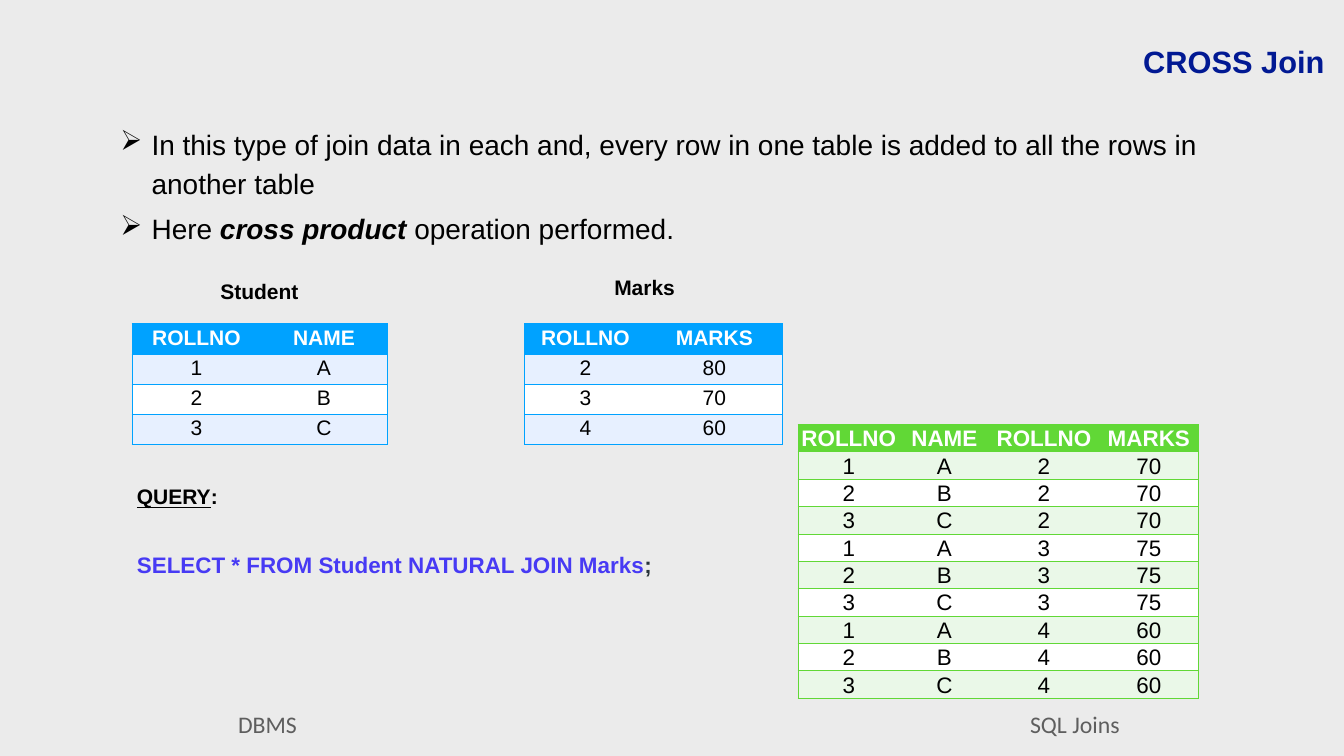
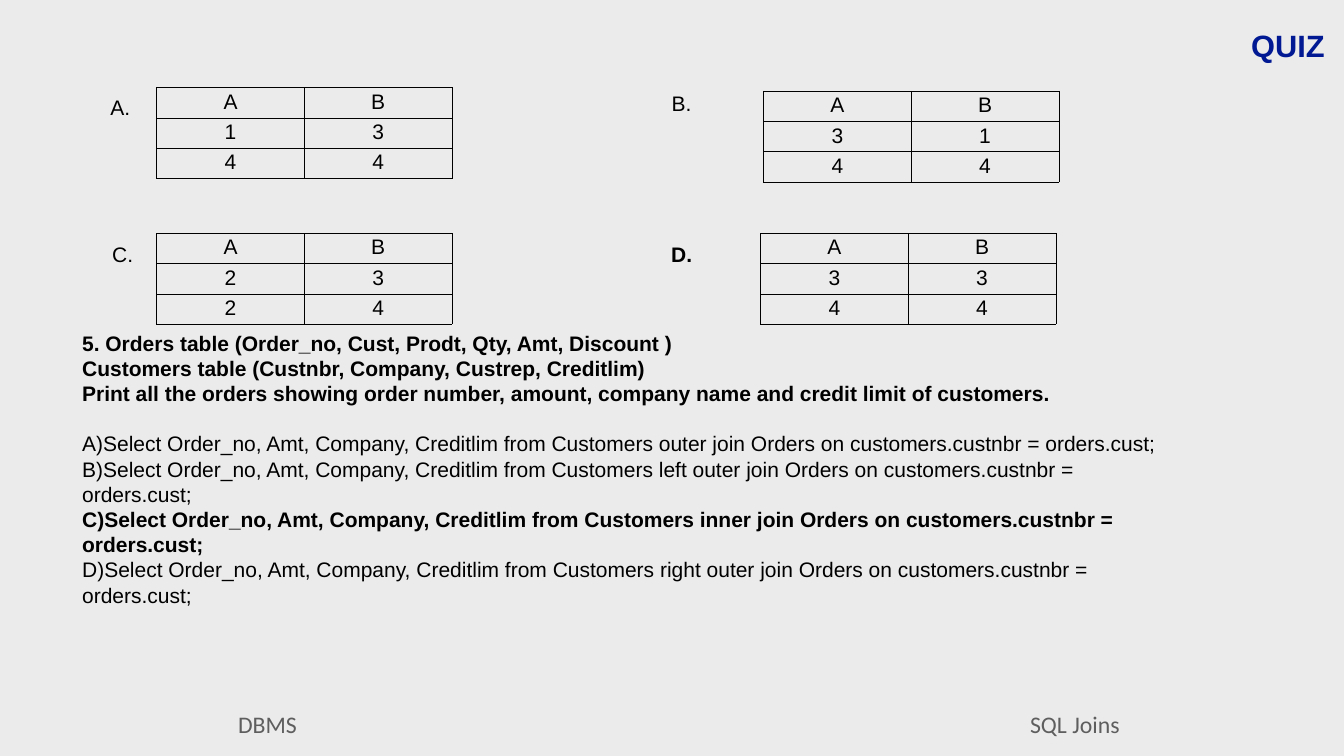
from lxml import etree
from pptx import Presentation
from pptx.dml.color import RGBColor
from pptx.enum.shapes import MSO_SHAPE
from pptx.enum.text import MSO_ANCHOR, PP_ALIGN
from pptx.oxml.ns import qn
from pptx.util import Cm, Pt

LEFT, CENTER, RIGHT = PP_ALIGN.LEFT, PP_ALIGN.CENTER, PP_ALIGN.RIGHT
TOP, MIDDLE, BOTTOM = MSO_ANCHOR.TOP, MSO_ANCHOR.MIDDLE, MSO_ANCHOR.BOTTOM
RECTANGLE = MSO_SHAPE.RECTANGLE

COLORS = {
    "page": "EBEBEB", "title": "011993", "footer": "5E5E5E",
    "black": "000000", "white": "FFFFFF",
    "blue": "00A2FF", "pale blue": "E7F0FF",
    "green": "61D836", "pale green": "EAF8E8",
    "query": "473AF4", "semicolon": "273239",
}
BLUE_TABLE = {"line": "blue", "header": "blue", "bands": ("pale blue", "white")}
GREEN_TABLE = {"line": "green", "header": "green", "bands": ("pale green", "white")}
GRID_TABLE = {"line": "black", "header": None, "bands": (None,)}


def rgb(name):
    return RGBColor.from_string(COLORS[name])


class Deck:
    """Holds the shared style and the slide being filled."""

    def __init__(self):
        self.deck = Presentation()
        self.deck.slide_width, self.deck.slide_height = Cm(67.73), Cm(38.1)
        self.page = None

    def new_page(self, title, title_top):
        self.page = self.deck.slides.add_slide(self.deck.slide_layouts[6])
        self.page.background.fill.solid()
        self.page.background.fill.fore_color.rgb = rgb("page")
        self.label(title, 24.7, title_top, 42.21, 2.16, size=44, color="title",
                   bold=True, align=RIGHT)
        self.footer("DBMS", 1.07)
        self.footer("SQL Joins", 41.76)

    def style(self, font, size, color="black", bold=False, name="Arial"):
        font.name, font.size, font.bold = name, Pt(size), bold
        font.color.rgb = rgb(color)

    def frame(self, left, top, width, height, anchor=TOP):
        box = self.page.shapes.add_textbox(Cm(left), Cm(top), Cm(width), Cm(height))
        box.text_frame.word_wrap = True
        box.text_frame.vertical_anchor = anchor
        return box.text_frame

    def inset(self, target, sides, ends):
        target.margin_left = target.margin_right = Cm(sides)
        target.margin_top = target.margin_bottom = Cm(ends)

    def paragraph(self, frame, text, first, size=30, align=LEFT, **look):
        para = frame.paragraphs[0] if first else frame.add_paragraph()
        para.text, para.alignment = text, align
        self.style(para.font, size, **look)
        return para

    def label(self, text, left, top, width, height, **look):
        frame = self.frame(left, top, width, height, MIDDLE)
        self.inset(frame, 0.15, 0.15)
        self.paragraph(frame, text, True, **{"align": CENTER, **look})

    def footer(self, text, left):
        band = self.page.shapes.add_shape(RECTANGLE, Cm(left), Cm(35.48), Cm(24.82), Cm(1.98))
        band.shadow.inherit = False
        band.fill.solid()
        band.fill.fore_color.rgb = rgb("page")
        band.line.fill.background()
        band.text_frame.vertical_anchor = MIDDLE
        self.inset(band.text_frame, 0, 0)
        self.paragraph(band.text_frame, text, True, size=34, align=CENTER,
                       color="footer", name="Calibri")

    def bullets(self, items, left, top, width, height):
        """Each item is a list of (text, emphasised) spans."""
        frame = self.frame(left, top, width, height)
        for index, spans in enumerate(items):
            para = self.paragraph(frame, "", index == 0, size=40)
            para.line_spacing, para.space_after = 1.15, Pt(10)
            for text, emphasised in spans:
                span = para.add_run()
                span.text = text
                self.style(span.font, 40, bold=emphasised)
                span.font.italic = emphasised
            props = para._p.get_or_add_pPr()
            props.set("marL", str(Cm(1.57)))
            props.set("indent", str(-Cm(1.57)))
            bullet = etree.Element(qn("a:buChar"), char="➢")
            props.find(qn("a:defRPr")).addprevious(bullet)

    def query(self, heading, statement, left, top, width, height):
        frame = self.frame(left, top, width, height)
        lines = (
            [(heading, 30, "black", True), (":", 30, "black", False)],
            [(statement, 32, "query", False), (";", 32, "semicolon", False)],
        )
        for index, spans in enumerate(lines):
            para = frame.paragraphs[0] if index == 0 else frame.add_paragraph()
            para.space_before = Pt(60 * index)
            for text, size, color, underlined in spans:
                span = para.add_run()
                span.text = text
                self.style(span.font, size, color, bold=True)
                span.font.underline = underlined

    def border(self, cell, sides, color):
        """Draw the named sides in the colour and leave the others open."""
        props = cell._tc.get_or_add_tcPr()
        for index, side in enumerate("LRTB"):
            line = etree.Element(qn(f"a:ln{side}"), w=str(Pt(1)))
            if side in sides:
                fill = etree.SubElement(line, qn("a:solidFill"))
                etree.SubElement(fill, qn("a:srgbClr"), val=COLORS[color])
            else:
                etree.SubElement(line, qn("a:noFill"))
            props.insert(index, line)

    def table(self, rows, left, top, widths, row_height, look, size=30, tight=False):
        shape = self.page.shapes.add_table(
            len(rows), len(widths), Cm(left), Cm(top),
            Cm(sum(widths)), Cm(row_height * len(rows)))
        table = shape.table
        table.first_row = table.horz_banding = False
        for column, width in zip(table.columns, widths):
            column.width = Cm(width)
        last = len(widths) - 1
        for r, values in enumerate(rows):
            table.rows[r].height = Cm(row_height)
            is_header = r == 0 and look["header"] is not None
            bands = look["bands"]
            fill = look["header"] if r == 0 else bands[(r - 1) % len(bands)]
            for c, value in enumerate(values):
                cell = table.cell(r, c)
                if fill:
                    cell.fill.solid()
                    cell.fill.fore_color.rgb = rgb(fill)
                else:
                    cell.fill.background()
                if tight:
                    self.inset(cell, 0.03, 0.01)
                    cell.vertical_anchor = BOTTOM
                self.paragraph(cell.text_frame, str(value), True, size=size, align=CENTER,
                               color="white" if is_header else "black", bold=is_header)
                sides = "TB"
                if c == 0 or look is GRID_TABLE:
                    sides += "L"
                if c == last or look is GRID_TABLE:
                    sides += "R"
                self.border(cell, sides, look["line"])


def cross_join(deck):
    deck.new_page("CROSS Join", 1.98)
    deck.bullets([
        [("In this type of join data in each and, every row in one table is added "
          "to all the rows in another table", False)],
        [("Here ", False), ("cross product", True), (" operation performed.", False)],
    ], 5.82, 6.05, 57.84, 8.84)

    # Source tables
    students = [(1, "A"), (2, "B"), (3, "C")]
    marks = [(2, 80), (3, 70), (4, 60)]
    deck.label("Student", 6.65, 13.84, 12.85, 1.63, bold=True)
    deck.table([("ROLLNO", "NAME"), *students], 6.65, 16.31, (6.5, 6.35), 1.52, BLUE_TABLE)
    deck.label("Marks", 26.06, 13.64, 12.85, 1.63, bold=True)
    deck.table([("ROLLNO", "MARKS"), *marks], 26.44, 16.31, (6.12, 6.88), 1.52, BLUE_TABLE)

    # Query and its result
    deck.query("QUERY", "SELECT * FROM Student NATURAL JOIN Marks", 6.65, 24.26, 26.92, 6.4)
    joined_marks = [(2, 70), (3, 75), (4, 60)]
    result = [student + mark for mark in joined_marks for student in students]
    deck.table([("ROLLNO", "NAME", "ROLLNO", "MARKS"), *result], 40.21, 21.39,
               (5.13, 4.5, 5.54, 5.03), 1.38, GREEN_TABLE, size=32, tight=True)


def quiz(deck):
    deck.new_page("QUIZ", 1.22)

    # Answer tables: letter, its place, table place, rows, correct
    answers = [
        ("A.", 4.93, 4.6, 7.9, 4.42, [(1, 3), (4, 4)], False),
        ("B.", 33.22, 4.42, 38.48, 4.6, [(3, 1), (4, 4)], False),
        ("C.", 5.05, 12.01, 7.9, 11.76, [(2, 3), (2, 4)], False),
        ("D.", 33.22, 12.01, 38.33, 11.76, [(3, 3), (4, 4)], True),
    ]
    for letter, label_left, label_top, left, top, rows, correct in answers:
        deck.label(letter, label_left, label_top, 2.26, 1.57, bold=correct)
        deck.table([("A", "B"), *rows], left, top, (7.44, 7.44), 1.52, GRID_TABLE)

    # Question 5 with its options
    frame = deck.frame(3.89, 16.51, 56.08, 15.65)
    question = [
        "5. Orders table (Order_no, Cust, Prodt, Qty, Amt, Discount )",
        "Customers table (Custnbr, Company, Custrep, Creditlim)",
        "Print all the orders showing order number, amount, company name "
        "and credit limit of customers.",
    ]
    for index, text in enumerate(question):
        deck.paragraph(frame, text, index == 0, bold=True)
    joins = {"A": "outer", "B": "left outer", "C": "inner", "D": "right outer"}
    for letter, join in joins.items():
        text = (f"{letter})Select Order_no, Amt, Company, Creditlim from Customers {join} "
                "join Orders on customers.custnbr = orders.cust;")
        option = deck.paragraph(frame, text, False, bold=letter == "C")
        if letter == "A":
            option.space_before = Pt(36)


def main():
    deck = Deck()
    cross_join(deck)
    quiz(deck)
    deck.deck.save("out.pptx")


if __name__ == "__main__":
    main()
